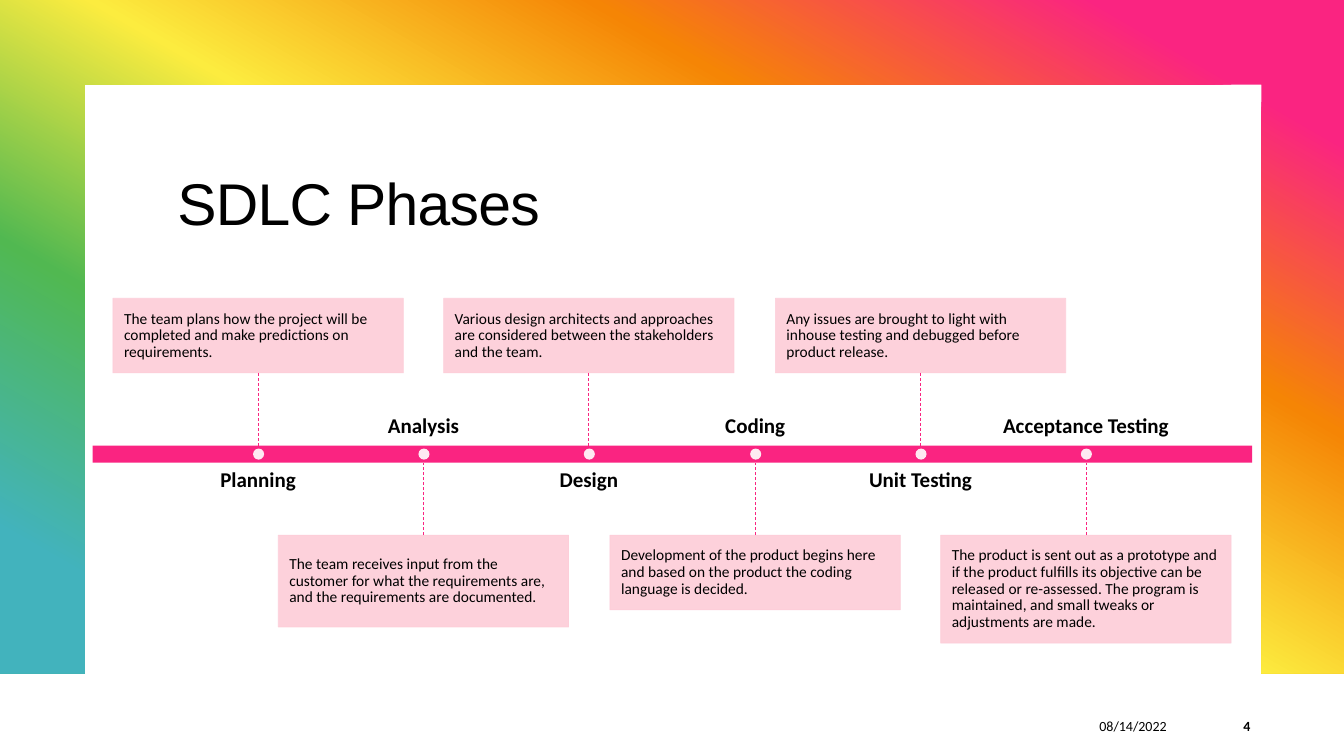
from pptx import Presentation
from pptx.dml.color import RGBColor
from pptx.enum.dml import MSO_LINE
from pptx.enum.shapes import MSO_CONNECTOR, MSO_SHAPE
from pptx.enum.text import MSO_ANCHOR, MSO_AUTO_SIZE, PP_ALIGN
from pptx.oxml import parse_xml
from pptx.oxml.ns import qn
from pptx.util import Pt
from lxml.etree import SubElement

PX = 9144  # 100 px to the inch
W, H = 1333, 750
PINK, PALE, WHITE, BLACK = "FA2481", "FDCDD8", "FFFFFF", "000000"
RAINBOW = [(10, PINK), (30, "F58505"), (50, "FCEC3F"), (70, "51B851"), (90, "42B3BD")]
BAR_X, BAR_Y, BAR_W, BAR_H = 92, 442, 1150, 17
BOX_W, BOX_GAP = 288, 72
LABEL_W, LABEL_H, LABEL_GAP = 262, 48, 7
DOT = 11

# name, description, height of the description box
PHASES = [
    ("Planning", "The team plans how the project will be completed and make "
     "predictions on requirements.", 74),
    ("Analysis", "The team receives input from the customer for what the requirements "
     "are, and the requirements are documented.", 91),
    ("Design", "Various design architects and approaches are considered between the "
     "stakeholders and the team.", 74),
    ("Coding", "Development of the product begins here and based on the product the "
     "coding language is decided.", 74),
    ("Unit Testing", "Any issues are brought to light with inhouse testing and debugged "
     "before product release.", 74),
    ("Acceptance Testing", "The product is sent out as a prototype and if the product "
     "fulfills its objective can be released or re-assessed. The program is maintained, "
     "and small tweaks or adjustments are made.", 107),
]


def px(*lengths):
    return [n * PX for n in lengths]


def rgb(color):
    return RGBColor.from_string(color)


def paint(fill, color, alpha=100):
    fill.solid()
    fill.fore_color.rgb = rgb(color)
    if alpha < 100:
        # fore_color has no public opacity setting
        for clr in fill._xPr.iter(qn("a:srgbClr")):
            if clr.getparent().getparent() is fill._xPr:
                SubElement(clr, qn("a:alpha")).set("val", str(alpha * 1000))


def write(tf, text, size, font="Calibri", bold=False, align=PP_ALIGN.LEFT,
          anchor=MSO_ANCHOR.TOP, spacing=0.9, inset=None):
    tf.word_wrap = True
    tf.auto_size = MSO_AUTO_SIZE.NONE
    tf.vertical_anchor = anchor
    if inset is not None:
        tf.margin_left = tf.margin_top = tf.margin_right = tf.margin_bottom = inset * PX
    p = tf.paragraphs[0]
    p.alignment = align
    p.line_spacing = spacing
    r = p.add_run()
    r.text = text
    r.font.name = font
    r.font.size = Pt(size)
    r.font.bold = bold
    r.font.color.rgb = rgb(BLACK)
    return r


def add_text(s, x, y, w, h, text, size, **style):
    write(s.shapes.add_textbox(*px(x, y, w, h)).text_frame, text, size, **style)


def add_filled(s, kind, x, y, w, h, color, alpha=100):
    sp = s.shapes.add_shape(kind, *px(x, y, w, h))
    sp.shadow.inherit = False
    paint(sp.fill, color, alpha)
    sp.line.fill.background()
    return sp


def add_rainbow_frame(s):
    outline = [(W, 0), (W, 668), (1251, 668), (1251, 84), (84, 84), (84, 668), (0, 668)]
    builder = s.shapes.build_freeform(0, 0, scale=PX)
    builder.add_line_segments(outline, close=True)
    sp = builder.convert_to_shape()
    sp.shadow.inherit = False
    sp.line.fill.background()
    sp.fill.gradient()
    sp.fill.gradient_angle = 240
    stops = sp._element.spPr.find(".//" + qn("a:gsLst"))
    for stop in list(stops):
        stops.remove(stop)
    for pos, color in RAINBOW:
        stops.append(parse_xml(
            '<a:gs xmlns:a="http://schemas.openxmlformats.org/drawingml/2006/main" '
            f'pos="{pos * 1000}"><a:srgbClr val="{color}"/></a:gs>'))
    s.shapes._spTree.insert(2, sp._element)  # behind the title


def add_title(s, text):
    title = s.shapes.title
    title.left, title.top, title.width, title.height = px(166, 166, 1000, 94)
    r = write(title.text_frame, text, 42, font="Arial", spacing=0.95)
    r._r.get_or_add_rPr().set("spc", "-50")


def add_stem(s, box, side, cx, bar_edge):
    """Dashed line from a side of the box to the timeline bar."""
    stem = s.shapes.add_connector(MSO_CONNECTOR.STRAIGHT, *px(cx, bar_edge, cx, bar_edge))
    stem.begin_connect(box, side)
    stem.line.color.rgb = rgb(PINK)
    stem.line.width = Pt(0.5)
    stem.line.dash_style = MSO_LINE.DASH
    SubElement(stem._element.spPr, qn("a:effectLst"))


def add_phase(s, cx, box_above, name, description, box_h):
    bar_bottom = BAR_Y + BAR_H
    if box_above:
        box_y, side, edge = BAR_Y - BOX_GAP - box_h, 2, BAR_Y
        label_y, label_anchor = bar_bottom + LABEL_GAP, MSO_ANCHOR.TOP
    else:
        box_y, side, edge = bar_bottom + BOX_GAP, 0, bar_bottom
        label_y, label_anchor = BAR_Y - LABEL_GAP - LABEL_H, MSO_ANCHOR.BOTTOM
    box = add_filled(s, MSO_SHAPE.RECTANGLE, cx - BOX_W // 2, box_y, BOX_W, box_h, PALE, 90)
    paint(box.line.fill, PALE, 90)
    box.line.width = Pt(0.5)
    write(box.text_frame, description, 11, anchor=MSO_ANCHOR.MIDDLE, inset=11)
    add_stem(s, box, side, cx, edge)
    add_text(s, cx - LABEL_W // 2, label_y, LABEL_W, LABEL_H, name, 15, bold=True,
             align=PP_ALIGN.CENTER, anchor=label_anchor, inset=0)
    add_filled(s, MSO_SHAPE.OVAL, cx - DOT // 2, BAR_Y + (BAR_H - DOT) // 2,
               DOT, DOT, WHITE, 90)


def main():
    prs = Presentation()
    prs.slide_width, prs.slide_height = px(W, H)
    s = prs.slides.add_slide(prs.slide_layouts[5])
    add_rainbow_frame(s)
    add_title(s, "SDLC Phases")
    add_filled(s, MSO_SHAPE.RECTANGLE, BAR_X, BAR_Y, BAR_W, BAR_H, PINK)
    for i, phase in enumerate(PHASES):
        cx = BAR_X + BAR_W * (i + 1) // (len(PHASES) + 1)
        add_phase(s, cx, i % 2 == 0, *phase)
    for x, w, text, bold in [(963, 204, "08/14/2022", False), (1192, 58, "4", True)]:
        add_text(s, x, 700, w, 40, text, 10, bold=bold, align=PP_ALIGN.RIGHT,
                 anchor=MSO_ANCHOR.MIDDLE, spacing=1.0)
    prs.save("out.pptx")


if __name__ == "__main__":
    main()
